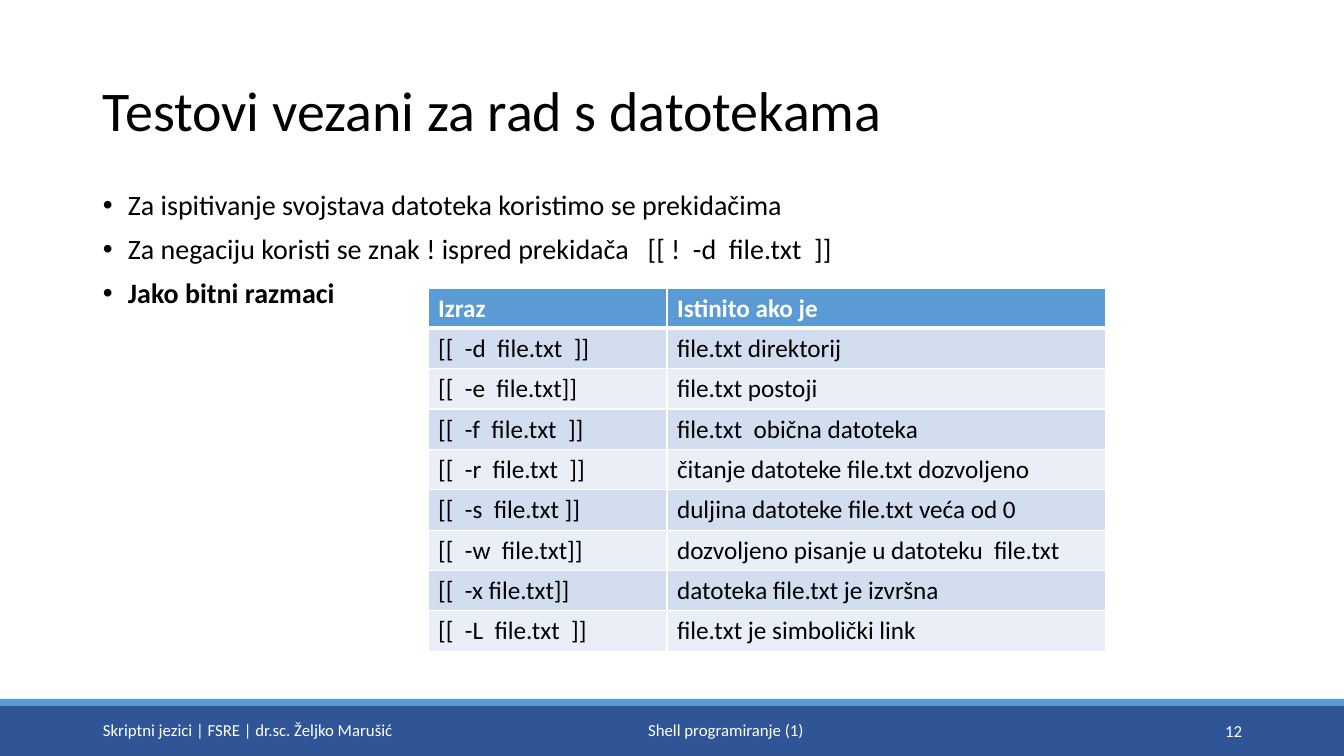
from lxml import etree
from pptx import Presentation
from pptx.dml.color import RGBColor
from pptx.enum.shapes import MSO_SHAPE
from pptx.enum.text import MSO_ANCHOR, PP_ALIGN
from pptx.oxml.ns import qn
from pptx.util import Emu, Pt

RECTANGLE = MSO_SHAPE.RECTANGLE
TOP, MIDDLE = MSO_ANCHOR.TOP, MSO_ANCHOR.MIDDLE
LEFT, CENTER, RIGHT = PP_ALIGN.LEFT, PP_ALIGN.CENTER, PP_ALIGN.RIGHT

WHITE = RGBColor(0xFF, 0xFF, 0xFF)
BLACK = RGBColor(0x00, 0x00, 0x00)
DARK_BLUE = RGBColor(0x2F, 0x55, 0x97)
BLUE = RGBColor(0x5B, 0x9B, 0xD5)
BAND_DARK = RGBColor(0xD2, 0xDE, 0xEF)
BAND_LIGHT = RGBColor(0xEA, 0xEF, 0xF7)

FONT = "Calibri"
EMU_PER_PIXEL = 914400 / 100.8
SLIDE_WIDTH, SLIDE_HEIGHT = 1344, 756
BULLET_INDENT = 25
COLUMN_WIDTHS = (239, 439)
THIN, THICK = 1, 3

BULLETS = (
    ("Za ispitivanje svojstava datoteka koristimo se prekidačima", False),
    ("Za negaciju koristi se znak ! ispred prekidača   [[ !  -d  file.txt  ]]", False),
    ("Jako bitni razmaci", True),
)
FILE_TESTS = (
    ("Izraz", "Istinito ako je"),
    ("[[  -d  file.txt  ]]", "file.txt direktorij"),
    ("[[  -e  file.txt]]", "file.txt postoji"),
    ("[[  -f  file.txt  ]]", "file.txt  obična datoteka"),
    ("[[  -r  file.txt  ]]", "čitanje datoteke file.txt dozvoljeno"),
    ("[[  -s  file.txt ]]", "duljina datoteke file.txt veća od 0"),
    ("[[  -w  file.txt]]", "dozvoljeno pisanje u datoteku  file.txt"),
    ("[[  -x file.txt]]", "datoteka file.txt je izvršna"),
    ("[[  -L  file.txt  ]]", "file.txt je simbolički link"),
)
FOOTERS = (
    ("Shell programiranje (1)", (511, 710, 430, 40), CENTER),
    ("12", (1127, 711, 125, 40), RIGHT),
    ("Skriptni jezici | FSRE | dr.sc. Željko Marušić", (93, 710, 363, 40), LEFT),
)


def px(pixels):
    """Turn whole pixels into EMU."""
    return Emu(round(pixels * EMU_PER_PIXEL))


def add_bar(slide, box, color):
    """Add a plain filled rectangle without outline."""
    bar = slide.shapes.add_shape(RECTANGLE, *map(px, box))
    bar.shadow.inherit = False
    bar.fill.solid()
    bar.fill.fore_color.rgb = color
    bar.line.fill.background()


def write(paragraph, text, size, color, bold=False, **paragraph_format):
    """Write one run in a paragraph and set the formats of both."""
    run = paragraph.add_run()
    run.text = text
    font_format = {"name": FONT, "size": Pt(size), "bold": bold}
    for target, values in ((run.font, font_format), (paragraph, paragraph_format)):
        for name, value in values.items():
            setattr(target, name, value)
    run.font.color.rgb = color


def add_text_frame(slide, box, anchor):
    """Add a wrapping text box and return its text frame."""
    text_frame = slide.shapes.add_textbox(*map(px, box)).text_frame
    text_frame.word_wrap = True
    text_frame.vertical_anchor = anchor
    return text_frame


def add_bullet(paragraph):
    """Give a paragraph a hanging round bullet."""
    properties = paragraph._p.get_or_add_pPr()
    properties.set("marL", str(px(BULLET_INDENT)))
    properties.set("indent", str(-px(BULLET_INDENT)))
    etree.SubElement(properties, qn("a:buFont"), typeface="Arial")
    etree.SubElement(properties, qn("a:buChar"), char="•")


def add_bullets(slide, box, items):
    """Add the bulleted body text."""
    text_frame = add_text_frame(slide, box, TOP)
    for index, (text, bold) in enumerate(items):
        paragraph = text_frame.add_paragraph() if index else text_frame.paragraphs[0]
        write(paragraph, text, 20, BLACK, bold,
              line_spacing=0.9, space_before=Pt(10))
        add_bullet(paragraph)


def set_borders(cell, top, bottom):
    """Draw white cell borders; top and bottom are widths in points."""
    properties = cell._tc.get_or_add_tcPr()
    widths = {"a:lnL": THIN, "a:lnR": THIN, "a:lnT": top, "a:lnB": bottom}
    for position, (tag, width) in enumerate(widths.items()):
        line = etree.Element(qn(tag), w=str(Pt(width)))
        fill = etree.SubElement(line, qn("a:solidFill"))
        etree.SubElement(fill, qn("a:srgbClr"), val=str(WHITE))
        properties.insert(position, line)


def add_test_table(slide, box, rows):
    """Add the table of file tests with a header and banded rows."""
    table = slide.shapes.add_table(
        len(rows), len(COLUMN_WIDTHS), *map(px, box)).table
    for column, width in zip(table.columns, COLUMN_WIDTHS):
        column.width = px(width)
    for row_index, texts in enumerate(rows):
        header = row_index == 0
        band = BAND_DARK if row_index % 2 else BAND_LIGHT
        for column_index, text in enumerate(texts):
            cell = table.cell(row_index, column_index)
            cell.fill.solid()
            cell.fill.fore_color.rgb = BLUE if header else band
            write(cell.text_frame.paragraphs[0], text, 18,
                  WHITE if header else BLACK, header)
            set_borders(cell, THICK if row_index == 1 else THIN,
                        THICK if header else THIN)


def main():
    """Build the slide and save it."""
    presentation = Presentation()
    presentation.slide_width = px(SLIDE_WIDTH)
    presentation.slide_height = px(SLIDE_HEIGHT)
    slide = presentation.slides.add_slide(presentation.slide_layouts[6])

    add_bar(slide, (0, 706, SLIDE_WIDTH, 50), DARK_BLUE)
    add_bar(slide, (0, 699, SLIDE_WIDTH, 7), BLUE)
    title = add_text_frame(slide, (93, 40, 1014, 146), MIDDLE)
    write(title.paragraphs[0], "Testovi vezani za rad s datotekama", 40, BLACK,
          line_spacing=0.9)
    add_bullets(slide, (93, 186, 1159, 495), BULLETS)
    for text, box, alignment in FOOTERS:
        footer = add_text_frame(slide, box, MIDDLE)
        write(footer.paragraphs[0], text, 12, WHITE, alignment=alignment)
    add_test_table(slide, (428, 288, sum(COLUMN_WIDTHS), 363), FILE_TESTS)

    presentation.save("out.pptx")


main()
